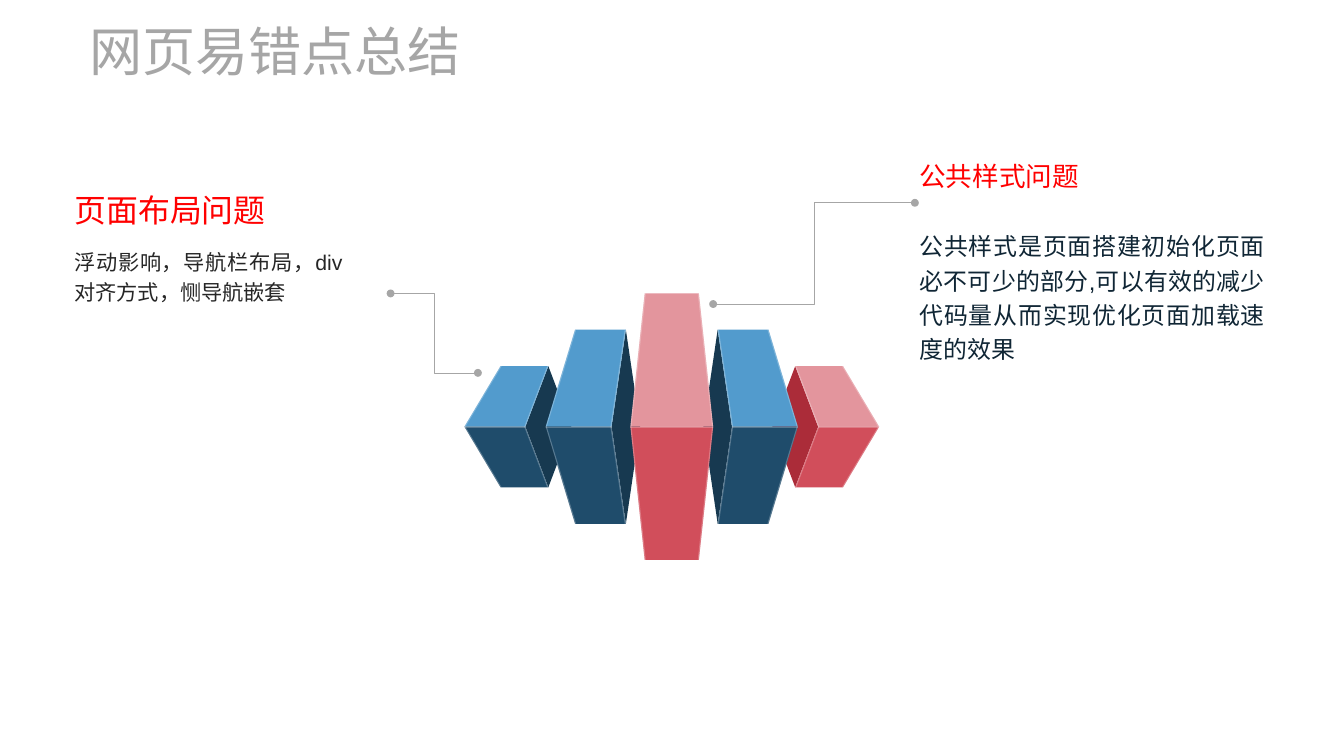
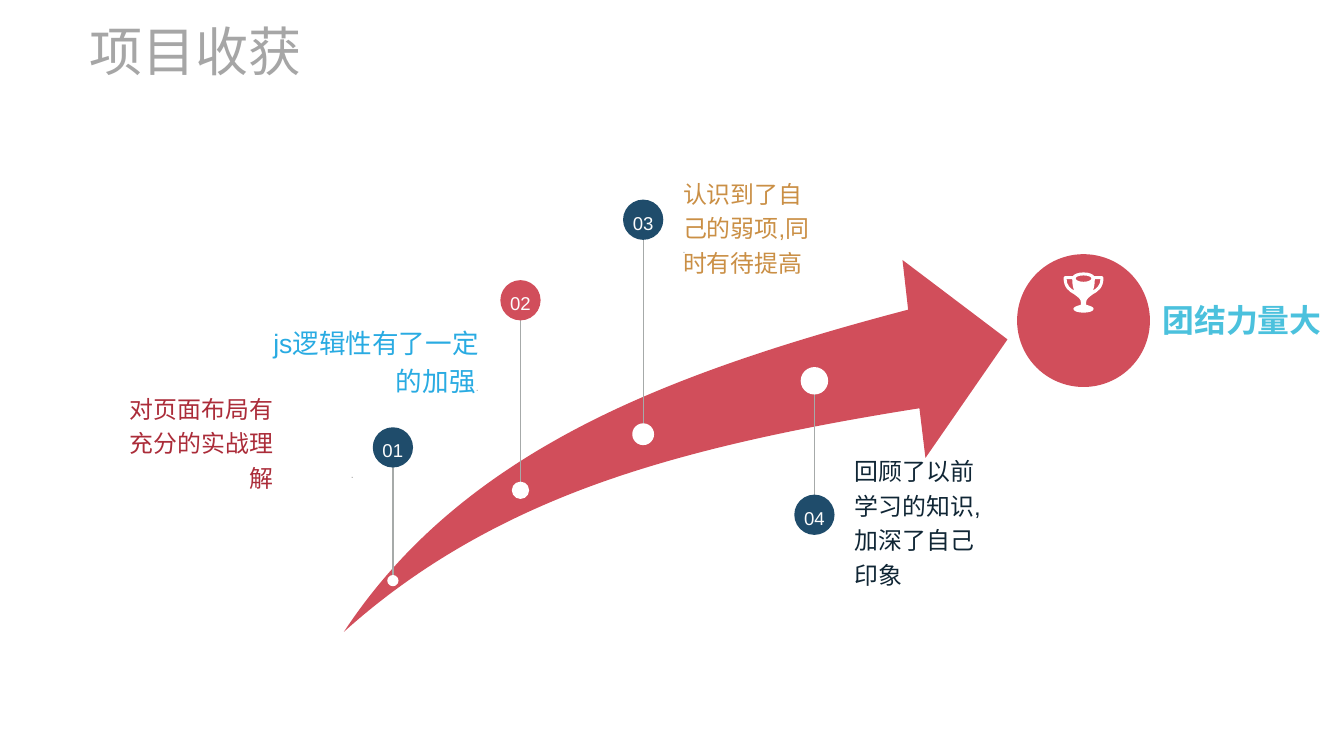
"""Build two slides: web page pitfalls and project gains."""
from dataclasses import dataclass

from lxml import etree
from pptx import Presentation
from pptx.dml.color import RGBColor
from pptx.enum.shapes import MSO_CONNECTOR, MSO_SHAPE
from pptx.enum.text import MSO_ANCHOR, PP_ALIGN
from pptx.oxml.ns import qn
from pptx.util import Cm, Pt

STRAIGHT, ELBOW = MSO_CONNECTOR.STRAIGHT, MSO_CONNECTOR.ELBOW
OVAL = MSO_SHAPE.OVAL
LEFT, CENTER, RIGHT, JUSTIFY = (
    PP_ALIGN.LEFT, PP_ALIGN.CENTER, PP_ALIGN.RIGHT, PP_ALIGN.JUSTIFY)
TOP, MIDDLE = MSO_ANCHOR.TOP, MSO_ANCHOR.MIDDLE


@dataclass(frozen=True)
class Theme:
    """Colours, type sizes and font shared by the slides."""
    font: str = "Arial"
    grey: str = "A6A6A6"
    stem: str = "A6AAA9"
    white: str = "FFFFFF"
    number: str = "FCFCFC"
    heading: str = "FF0000"
    text: str = "262626"
    ink: str = "102635"
    navy: str = "1F4C6B"
    dark_navy: str = "173950"
    blue: str = "529BCD"
    sky: str = "29ABE2"
    aqua: str = "4BC1DD"
    red: str = "D14E5B"
    dark_red: str = "AB2C39"
    pink: str = "E3959D"
    gold: str = "CA8F45"
    title_size: int = 40
    large: int = 24
    medium: int = 20
    normal: int = 18
    small: int = 16
    number_size: int = 14
    tiny: int = 8


THEME = Theme()
NAVY_FACES = (THEME.blue, THEME.navy, THEME.dark_navy)
RED_FACES = (THEME.pink, THEME.red, THEME.dark_red)

CENTRE_X, CENTRE_Y = 17.85, 11.34
EDGE = 0.03
OUTER = {"inner": 3.89, "outer": 5.51, "end_inner": 3.28,
         "end_outer": 4.55, "side": 2.67, "height": 1.61}
NEAR = {"inner": 1.6, "outer": 3.35, "end_inner": 1.22,
        "end_outer": 2.57, "side": 0.84, "height": 2.58}
MIDDLE_BLOCK = {"inner": -1.1, "outer": 1.1, "end_inner": -0.72,
                "end_outer": 0.72, "side": None, "height": 3.54}
BLOCKS = [(-1, OUTER, NAVY_FACES), (-1, NEAR, NAVY_FACES),
          (1, OUTER, RED_FACES), (1, NEAR, NAVY_FACES),
          (1, MIDDLE_BLOCK, RED_FACES)]

ARROW = [
    [(9.14, 16.79)],
    [(10.54, 14.66), (12.45, 12.98), (14.88, 11.63)],
    [(17.37, 10.24), (20.47, 9.19), (24.13, 8.23)],
    [(23.98, 6.91)], [(26.77, 9.02)], [(24.59, 12.17)], [(24.43, 10.85)],
    [(21.08, 11.38), (18.16, 12.01), (15.67, 12.93)],
    [(13.13, 13.87), (10.97, 15.14), (9.14, 16.79)]]
CUP_HALF = [
    [(0, 0)], [(0.16, 0), (0.25, 0.05), (0.29, 0.1)], [(0.49, 0.1)],
    [(0.52, 0.1), (0.53, 0.13), (0.53, 0.15)],
    [(0.53, 0.41), (0.38, 0.51), (0.25, 0.58)],
    [(0.14, 0.66), (0.07, 0.71), (0.07, 0.79)], [(0.07, 0.86)],
    [(0.18, 0.89), (0.27, 0.92), (0.27, 0.97)],
    [(0.27, 1.03), (0.14, 1.07), (0, 1.07)]]
MOUTH_HALF = [
    [(0, 0.08)], [(0.15, 0.08), (0.21, 0.13), (0.21, 0.16)],
    [(0.21, 0.19), (0.15, 0.25), (0, 0.25)]]
HANDLE = [
    [(0.25, 0.48)], [(0.27, 0.43), (0.3, 0.33), (0.3, 0.18)],
    [(0.45, 0.18)], [(0.45, 0.33), (0.35, 0.43), (0.25, 0.48)]]

MILESTONES = [
    ("01", 10.44, 11.89, 15.43, 0.3, THEME.navy),
    ("02", 13.83, 7.98, 13.03, 0.46, THEME.red),
    ("03", 17.09, 5.84, 11.54, 0.58, THEME.navy),
    ("04", 21.64, 13.68, 10.12, 0.73, THEME.navy)]


def paint(shape, color, opacity=None):
    """Give a shape a flat fill without line or shadow."""
    shape.shadow.inherit = False
    shape.line.fill.background()
    shape.fill.solid()
    shape.fill.fore_color.rgb = RGBColor.from_string(color)
    if opacity is not None:
        tint = shape.fill._xPr.find(".//" + qn("a:srgbClr"))
        etree.SubElement(tint, qn("a:alpha"), val=str(opacity * 1000))


def polygon(*points):
    """Wrap corner points as straight segments."""
    return [[point] for point in points]


def mirror(segments):
    """Reflect segments across the vertical axis, in reverse order."""
    flipped = [[(-x, y) for x, y in segment] for segment in segments]
    result = [[flipped[-1][-1]]]
    for before, segment in reversed(list(zip(flipped, flipped[1:]))):
        result.append([*reversed(segment[:-1]), before[-1]])
    return result


def bend(shape, segments):
    """Turn the straight steps of a freeform into cubic curves."""
    steps = list(shape._element.iter(qn("a:lnTo")))
    for step, segment in zip(steps, segments):
        if len(segment) == 1:
            continue
        step.tag = qn("a:cubicBezTo")
        step.remove(step[0])
        for x, y in segment:
            etree.SubElement(step, qn("a:pt"), x=str(x - shape.left),
                             y=str(y - shape.top))


def add_outline(slide, contours, color, opacity=None, origin=(0, 0)):
    """Draw one filled freeform from contours in centimetres."""
    placed = [[[(Cm(origin[0] + x), Cm(origin[1] + y)) for x, y in segment]
               for segment in contour] for contour in contours]
    builder = slide.shapes.build_freeform(*placed[0][0][0], scale=1.0)
    for index, contour in enumerate(placed):
        if index:
            builder.move_to(*contour[0][0])
        builder.add_line_segments([segment[-1] for segment in contour[1:]],
                                  close=True)
    shape = builder.convert_to_shape()
    bend(shape, [segment for contour in placed for segment in contour[1:]])
    paint(shape, color, opacity)


def add_disc(slide, x, y, diameter, color):
    """Draw a circle around a centre."""
    disc = slide.shapes.add_shape(
        OVAL, Cm(x - diameter / 2), Cm(y - diameter / 2),
        Cm(diameter), Cm(diameter))
    paint(disc, color)
    return disc


def add_line(slide, kind, start, end, color, width, ends=()):
    """Draw a connector with optional end markers."""
    line = slide.shapes.add_connector(
        kind, *(Cm(value) for value in (*start, *end)))
    line.line.color.rgb = RGBColor.from_string(color)
    line.line.width = Pt(width)
    outline = line.line._get_or_add_ln()
    for end_name in ends:
        etree.SubElement(outline, qn(end_name), type="oval")
    etree.SubElement(line._element.spPr, qn("a:effectLst"))


def style_run(run, size, color, bold=False):
    """Format one run."""
    run.font.name = THEME.font
    run.font.size = Pt(size)
    run.font.bold = bold
    run.font.color.rgb = RGBColor.from_string(color)


def write(para, text, size, color, align=LEFT, spacing=1.2, bold=False):
    """Fill and format one paragraph."""
    para.text = text
    para.alignment = align
    para.line_spacing = spacing
    for run in para.runs:
        style_run(run, size, color, bold)


def add_text(slide, place, text, size, color, anchor=TOP, inset=0,
             wrap=True, **style):
    """Add a text box and return its text frame."""
    frame = slide.shapes.add_textbox(*(Cm(v) for v in place)).text_frame
    frame.word_wrap = wrap
    frame.vertical_anchor = anchor
    frame.margin_left = frame.margin_right = Cm(inset)
    frame.margin_top = frame.margin_bottom = Cm(inset / 2)
    write(frame.paragraphs[0], text, size, color, **style)
    return frame


def add_page(deck, title):
    """Add a blank slide with the shared title."""
    page = deck.slides.add_slide(deck.slide_layouts[6])
    add_text(page, (2.38, 0.48, 15.75, 1.7), title, THEME.title_size,
             THEME.grey, anchor=MIDDLE, spacing=1.0)
    return page


def add_block(page, side, block, faces):
    """Draw the faces of one block, mirrored by side."""
    top, front, flank = faces
    origin = (CENTRE_X, CENTRE_Y)
    inner, outer = side * block["inner"], side * block["outer"]
    near, far = side * block["end_inner"], side * block["end_outer"]
    height = block["height"]
    if block["side"] is not None:
        add_outline(page, [polygon((inner, 0), (near, -height),
                                   (side * block["side"], 0),
                                   (near, height))], flank, origin=origin)
    for end, color in ((-height, top), (height, front)):
        add_outline(page, [polygon((inner, 0), (near, end), (far, end),
                                   (outer, 0))], color, origin=origin)


def add_highlights(page, side, block, _faces):
    """Draw the translucent edges of one block."""
    height = block["height"]
    inner, outer = side * block["inner"], side * block["outer"]
    strips = [[(inner, 0), (outer, 0), (outer, EDGE), (inner, EDGE)]]
    for middle, end, shift in ((inner, side * block["end_inner"], EDGE),
                               (outer, side * block["end_outer"], -EDGE)):
        edge = [(end, -height), (middle, 0), (end, height)]
        strips.append(edge + [(x + side * shift, y)
                              for x, y in reversed(edge)])
    for strip in strips:
        add_outline(page, [polygon(*strip)], THEME.white, 25,
                    (CENTRE_X, CENTRE_Y))


def build_pitfalls(deck):
    """Build the slide about web page pitfalls."""
    page = add_page(deck, "网页易错点总结")
    for draw in (add_block, add_highlights):
        for block in BLOCKS:
            draw(page, *block)
    add_text(page, (1.73, 6.36, 7.62, 1.9),
             "浮动影响，导航栏布局，div对齐方式，恻导航嵌套",
             THEME.small, THEME.text, inset=0.25, align=JUSTIFY)
    frame = add_text(page, (24.18, 3.95, 9.68, 5.89), "公共样式问题",
                     THEME.medium, THEME.heading, inset=0.25, align=JUSTIFY)
    para = frame.add_paragraph()
    write(para, "公共样式是页面搭建初始化页面必不可少的部分,"
          "可以有效的减少代码量从而实现优化页面加载速度的效果",
          THEME.normal, THEME.ink, align=JUSTIFY)
    para.space_before = Pt(26)
    for start, end in (((12.7, 9.91), (10.38, 7.8)),
                       ((24.31, 5.39), (18.95, 8.08))):
        add_line(page, ELBOW, start, end, THEME.grey, 0.5,
                 ("a:headEnd", "a:tailEnd"))
    add_text(page, (1.73, 4.95, 5.59, 1.27), "页面布局问题", THEME.large,
             THEME.heading, inset=0.25, wrap=False, spacing=1.0)


def add_milestone(page, number, x, disc_y, dot_y, dot_size, color):
    """Draw a numbered disc joined by a stem to a dot."""
    add_line(page, STRAIGHT, (x, dot_y), (x, disc_y), THEME.stem, 1)
    add_disc(page, x, dot_y, dot_size, THEME.white)
    frame = add_disc(page, x, disc_y, 1.07, color).text_frame
    frame.word_wrap = False
    frame.vertical_anchor = MIDDLE
    frame.margin_left = frame.margin_right = frame.margin_bottom = 0
    frame.margin_top = Cm(0.04)
    write(frame.paragraphs[0], number, THEME.number_size, THEME.number,
          align=CENTER)


def add_trophy(page, origin):
    """Draw a trophy with an open mouth and handles."""
    cup, mouth = (half + mirror(half)[1:] for half in (CUP_HALF, MOUTH_HALF))
    add_outline(page, [cup, mouth, HANDLE, mirror(HANDLE)], THEME.white,
                origin=origin)


def build_gains(deck):
    """Build the slide about project gains."""
    page = add_page(deck, "项目收获")
    add_outline(page, [ARROW], THEME.red)
    for milestone in MILESTONES:
        add_milestone(page, *milestone)
    for place, text, color, align in (
            ((3.22, 10.32, 4.04, 2.77), "对页面布局有充分的实战理解",
             THEME.dark_red, RIGHT),
            ((18.15, 4.61, 3.73, 2.77), "认识到了自己的弱项,同时有待提高",
             THEME.gold, LEFT),
            ((22.71, 11.98, 3.73, 3.68), "回顾了以前学习的知识,加深了自己印象",
             THEME.ink, LEFT)):
        add_text(page, place, text, THEME.normal, color, anchor=MIDDLE,
                 align=align)
    for place, align in (((3.66, 12.37, 5.74, 0.41), RIGHT),
                         ((18.14, 6.4, 4.75, 0.41), LEFT)):
        add_text(page, place, ".", THEME.tiny, THEME.grey, align=align)
    frame = add_text(page, (6.98, 8.51, 5.74, 2.06), "js逻辑性有了一定的加强",
                     THEME.medium, THEME.sky, align=RIGHT)
    span = frame.paragraphs[0].add_run()
    span.text = "."
    style_run(span, THEME.tiny, THEME.grey)
    add_disc(page, 28.79, 8.52, 3.53, THEME.red)
    add_trophy(page, (28.79, 7.24))
    add_text(page, (30.55, 7.58, 4.9, 1.52), "团结力量大", THEME.large,
             THEME.aqua, anchor=MIDDLE, align=CENTER, spacing=1.3, bold=True)


def main():
    """Build and save the deck."""
    deck = Presentation()
    deck.slide_width, deck.slide_height = Cm(35.71), Cm(20.09)
    build_pitfalls(deck)
    build_gains(deck)
    deck.save("out.pptx")


if __name__ == "__main__":
    main()
